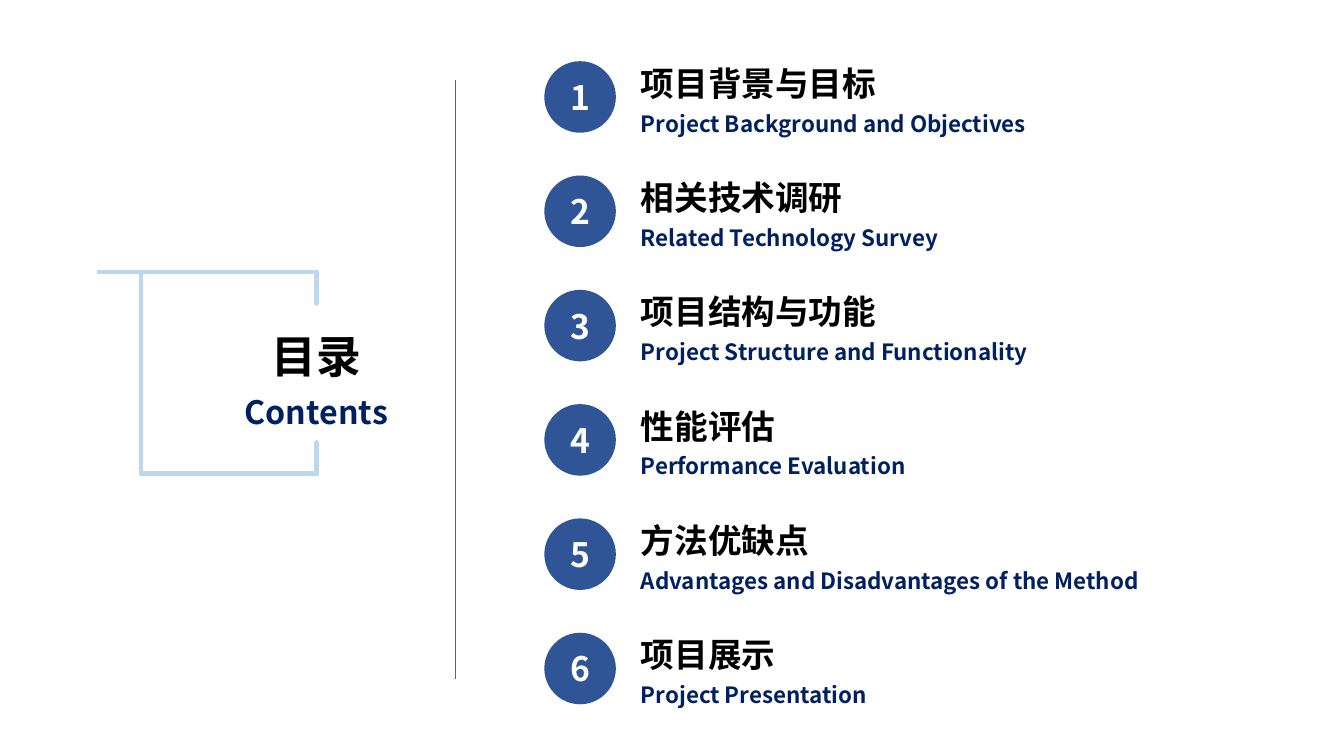
from dataclasses import dataclass

from lxml.etree import SubElement
from pptx import Presentation
from pptx.dml.color import RGBColor
from pptx.enum.shapes import MSO_CONNECTOR, MSO_SHAPE
from pptx.enum.text import MSO_ANCHOR, MSO_AUTO_SIZE, PP_ALIGN
from pptx.oxml.ns import qn
from pptx.slide import Slide
from pptx.text.text import TextFrame
from pptx.util import Pt

FONT = "Noto Sans CJK SC"
COLORS = {
    "ink": "000000",
    "navy": "002060",
    "badge": "2F5597",
    "frame": "BDD7EE",
    "divider": "666666",
    "white": "FFFFFF",
}
PITCH = 81.65
BADGE_LEFT, BADGE_TOP, BADGE_SIZE = 388.8, 43.7, 51.1
LABEL_LEFT, LABEL_TOP, LABEL_WIDTH, LABEL_HEIGHT = 450.7, 34, 409, 65.5
STUB, LEFT, RIGHT = 70.6, 100.8, 226.1
TOP, UPPER, LOWER, BOTTOM = 194.4, 216.7, 316.1, 338.4


@dataclass
class Entry:
    chinese: str
    english: str


@dataclass
class Line:
    x1: float
    y1: float
    x2: float
    y2: float
    color: str = "frame"
    width: float = 3.25
    cap: str = "rnd"


ENTRIES = [
    Entry("项目背景与目标", "Project Background and Objectives"),
    Entry("相关技术调研", "Related Technology Survey"),
    Entry("项目结构与功能", "Project Structure and Functionality"),
    Entry("性能评估", "Performance Evaluation"),
    Entry("方法优缺点", "Advantages and Disadvantages of the Method"),
    Entry("项目展示", "Project Presentation"),
]
LINES = [
    Line(325.4, 56.9, 325.4, 485.3, "divider", 0.5, "flat"),
    Line(STUB, TOP, RIGHT, TOP),
    Line(LEFT, BOTTOM, RIGHT, BOTTOM),
    Line(LEFT, TOP, LEFT, BOTTOM),
    Line(RIGHT, TOP, RIGHT, UPPER),
    Line(RIGHT, LOWER, RIGHT, BOTTOM),
]


def rgb(name: str) -> RGBColor:
    return RGBColor.from_string(COLORS[name])


def add_run(p, text: str, size: float, color: str) -> None:
    r = p.add_run()
    r.text = text
    r.font.size = Pt(size)
    r.font.bold = True
    r.font.color.rgb = rgb(color)
    r.font.name = FONT
    SubElement(r.font._element, qn("a:ea"), typeface=FONT)


def write_pair(tf: TextFrame, entry: Entry, sizes: tuple[float, float], align: PP_ALIGN) -> None:
    tf.word_wrap = True
    tf.auto_size = MSO_AUTO_SIZE.NONE
    tf.vertical_anchor = MSO_ANCHOR.TOP
    rows = zip((entry.chinese, entry.english), sizes, ("ink", "navy"))
    for i, (text, size, color) in enumerate(rows):
        p = tf.add_paragraph() if i else tf.paragraphs[0]
        p.alignment = align
        p.line_spacing = 1.25
        add_run(p, text, size, color)


def add_title(s: Slide) -> None:
    sp = s.shapes.title
    sp.left, sp.top, sp.width, sp.height = Pt(148.3), Pt(221.8), Pt(155.5), Pt(92.2)
    write_pair(sp.text_frame, Entry("目录", "Contents"), (32, 23), PP_ALIGN.CENTER)


def add_line(s: Slide, line: Line) -> None:
    sp = s.shapes.add_connector(
        MSO_CONNECTOR.STRAIGHT, Pt(line.x1), Pt(line.y1), Pt(line.x2), Pt(line.y2)
    )
    sp.line.color.rgb = rgb(line.color)
    sp.line.width = Pt(line.width)
    sp_pr = sp._element.spPr
    sp_pr.find(qn("a:ln")).set("cap", line.cap)
    SubElement(sp_pr, qn("a:effectLst"))


def add_entry(s: Slide, index: int, entry: Entry) -> None:
    offset = index * PITCH
    sp = s.shapes.add_shape(
        MSO_SHAPE.OVAL, Pt(BADGE_LEFT), Pt(BADGE_TOP + offset), Pt(BADGE_SIZE), Pt(BADGE_SIZE)
    )
    sp.shadow.inherit = False
    sp.fill.solid()
    sp.fill.fore_color.rgb = rgb("badge")
    sp.line.fill.background()
    tf = sp.text_frame
    tf.vertical_anchor = MSO_ANCHOR.MIDDLE
    p = tf.paragraphs[0]
    p.alignment = PP_ALIGN.CENTER
    add_run(p, str(index + 1), 24, "white")

    label = s.shapes.add_textbox(
        Pt(LABEL_LEFT), Pt(LABEL_TOP + offset), Pt(LABEL_WIDTH), Pt(LABEL_HEIGHT)
    )
    write_pair(label.text_frame, entry, (24, 16), PP_ALIGN.LEFT)


def main() -> None:
    prs = Presentation()
    prs.slide_width, prs.slide_height = Pt(960), Pt(540)
    s = prs.slides.add_slide(prs.slide_layouts.get_by_name("Title Only"))
    add_title(s)
    for line in LINES:
        add_line(s, line)
    for index, entry in enumerate(ENTRIES):
        add_entry(s, index, entry)
    prs.save("out.pptx")


if __name__ == "__main__":
    main()
